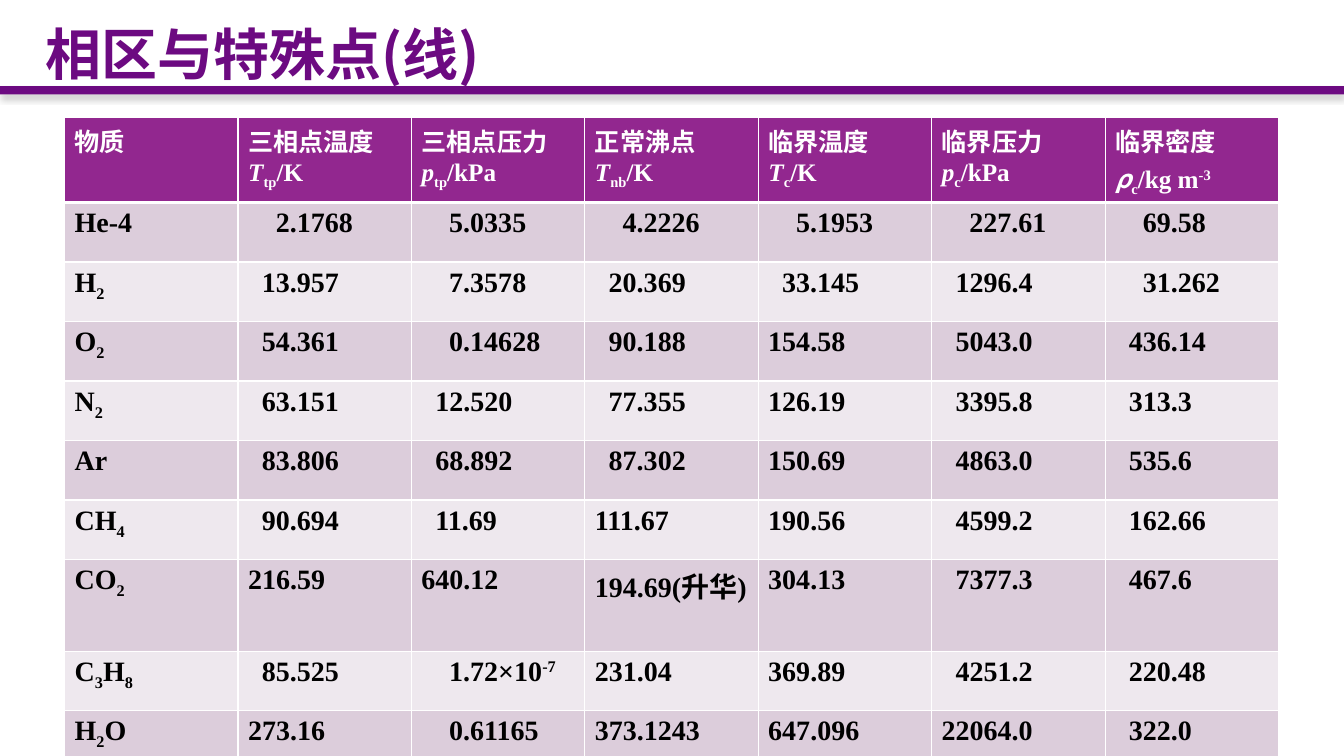
import pptx
import pptx.util
import pptx.dml.color
import pptx.enum.shapes
import pptx.enum.text
import pptx.oxml
import pptx.oxml.ns
import lxml.etree

Cm, Pt = pptx.util.Cm, pptx.util.Pt

TITLE = "相区与特殊点(线)"
HEADERS = [
    ("物质",),
    ("三相点温度", "*T|_tp|/K"),
    ("三相点压力", "*p|_tp|/kPa"),
    ("正常沸点", "*T|_nb|/K"),
    ("临界温度", "*T|_c|/K"),
    ("临界压力", "*p|_c|/kPa"),
    ("临界密度", "*ρ|_c|/kg m|^-3"),
]
SUBSTANCES = [
    ("He-4", "2.1768", "5.0335", "4.2226", "5.1953", "227.61", "69.58"),
    ("H|_2", "13.957", "7.3578", "20.369", "33.145", "1296.4", "31.262"),
    ("O|_2", "54.361", "0.14628", "90.188", "154.58", "5043.0", "436.14"),
    ("N|_2", "63.151", "12.520", "77.355", "126.19", "3395.8", "313.3"),
    ("Ar", "83.806", "68.892", "87.302", "150.69", "4863.0", "535.6"),
    ("CH|_4", "90.694", "11.69", "111.67", "190.56", "4599.2", "162.66"),
    ("CO|_2", "216.59", "640.12", "194.69(升华)", "304.13", "7377.3", "467.6"),
    ("C|_3|H|_8", "85.525", "1.72×10|^-7", "231.04", "369.89", "4251.2", "220.48"),
    ("H|_2|O", "273.16", "0.61165", "373.1243", "647.096", "22064.0", "322.0"),
]
INTEGER_PLACES = (0, 3, 3, 3, 3, 5, 4)
COLOURS = {
    "purple": "6C0A81", "header": "92278F", "white": "FFFFFF", "black": "000000",
    "odd": "DCCDDB", "even": "EEE8EE", "shadow": "808080",
}
SANS, SERIF, CHINESE = "Arial", "Times New Roman", "Noto Sans CJK SC"
BASELINES = {"_": "-25000", "^": "30000"}
COLUMN_WIDTH = 4.37
HEADER_HEIGHT, ROW_HEIGHT, WRAPPED_HEIGHT, LAST_HEIGHT = 2.14, 1.5, 2.31, 1.14
ROW_HEIGHTS = [HEADER_HEIGHT, *[ROW_HEIGHT] * 6, WRAPPED_HEIGHT, ROW_HEIGHT, LAST_HEIGHT]
CELL_MARGIN, DIGIT_WIDTH = 0.25, 0.35


def colour(name):
    return pptx.dml.color.RGBColor.from_string(COLOURS[name])


def add_span(para, text, colour_name, **formats):
    span = para.add_run()
    span.text = text
    for name, value in {"bold": True, **formats}.items():
        setattr(span.font, name, value)
    span.font.color.rgb = colour(colour_name)
    properties = span._r.get_or_add_rPr()
    east_asian = lxml.etree.SubElement(properties, pptx.oxml.ns.qn("a:ea"))
    east_asian.set("typeface", CHINESE)
    return properties


def add_marked_text(para, text, colour_name, font, size):
    for piece in text.split("|"):
        mark = piece[0]
        properties = add_span(
            para, piece.lstrip("*_^"), colour_name, size=Pt(size),
            name=CHINESE if piece == "*ρ" else font, italic=mark == "*")
        if mark in BASELINES:
            properties.set("baseline", BASELINES[mark])


def set_borders(cell, widths):
    properties = cell._tc.get_or_add_tcPr()
    for index, (side, width) in enumerate(widths.items()):
        properties.insert(index, pptx.oxml.parse_xml(
            f'<a:ln{side} {pptx.oxml.ns.nsdecls("a")} w="{Pt(width)}"><a:solidFill>'
            f'<a:srgbClr val="{COLOURS["white"]}"/></a:solidFill></a:ln{side}>'))


def add_title(page):
    bar = page.shapes.add_shape(
        pptx.enum.shapes.MSO_SHAPE.RECTANGLE, 0, Cm(2.17), Cm(33.87), Cm(0.21))
    bar.fill.solid()
    bar.fill.fore_color.rgb = colour("purple")
    bar.line.fill.background()
    bar._element.spPr.append(pptx.oxml.parse_xml(
        f'<a:effectLst {pptx.oxml.ns.nsdecls("a")}><a:outerShdw blurRad="{Pt(4)}" '
        f'dist="{Pt(3)}" dir="5400000" rotWithShape="0"><a:srgbClr val="{COLOURS["shadow"]}">'
        '<a:alpha val="40000"/></a:srgbClr></a:outerShdw></a:effectLst>'))
    box = page.shapes.add_textbox(Cm(0.9), Cm(0.5), Cm(32.1), Cm(1.88))
    box.text_frame.word_wrap = True
    box.text_frame.vertical_anchor = pptx.enum.text.MSO_ANCHOR.MIDDLE
    para = box.text_frame.paragraphs[0]
    para.line_spacing = 0.9
    add_span(para, TITLE, "purple", name=CHINESE, size=Pt(40))


def add_property_table(page):
    rows, columns = len(ROW_HEIGHTS), len(HEADERS)
    table = page.shapes.add_table(
        rows, columns, Cm(1.63), Cm(2.96),
        Cm(columns * COLUMN_WIDTH), Cm(sum(ROW_HEIGHTS))).table
    for column in table.columns:
        column.width = Cm(COLUMN_WIDTH)
    for row, height in zip(table.rows, ROW_HEIGHTS):
        row.height = Cm(height)
    for row in range(rows):
        for column in range(columns):
            cell = table.cell(row, column)
            cell.fill.solid()
            fill = "header" if row == 0 else "odd" if row % 2 else "even"
            cell.fill.fore_color.rgb = colour(fill)
            set_borders(cell, {"L": 1, "R": 1, "T": 3 if row == 1 else 1,
                               "B": 3 if row == 0 else 1})
            para = cell.text_frame.paragraphs[0]
            if row == 0:
                name, *symbols = HEADERS[column]
                add_marked_text(para, name, "white", SANS, 18)
                for symbol in symbols:
                    para = cell.text_frame.add_paragraph()
                    add_marked_text(para, symbol, "white", SERIF, 18)
            else:
                text = SUBSTANCES[row - 1][column]
                digits = len(text.split(".")[0])
                missing = max(0, INTEGER_PLACES[column] - digits)
                cell.margin_left = Cm(CELL_MARGIN + missing * DIGIT_WIDTH)
                add_marked_text(para, text, "black", SERIF, 20)


def main():
    deck = pptx.Presentation()
    deck.slide_width, deck.slide_height = Cm(33.87), Cm(19.05)
    page = deck.slides.add_slide(deck.slide_layouts[6])
    add_title(page)
    add_property_table(page)
    deck.save("out.pptx")


if __name__ == "__main__":
    main()
